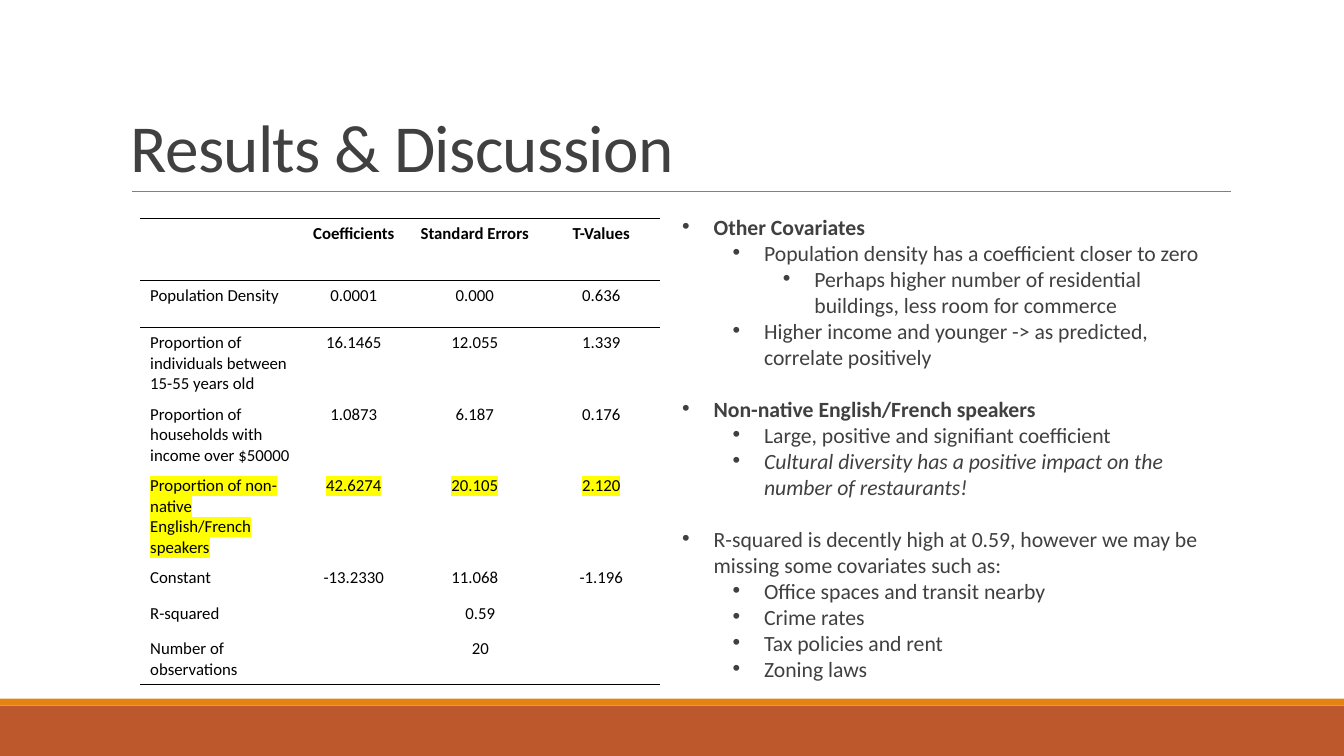
from dataclasses import dataclass
from typing import Any

from lxml.etree import SubElement
from pptx import Presentation
from pptx.dml.color import RGBColor
from pptx.enum.shapes import MSO_CONNECTOR as Connector, MSO_SHAPE as Shape
from pptx.enum.text import MSO_ANCHOR as Anchor, PP_ALIGN as Align
from pptx.oxml import parse_xml
from pptx.oxml.ns import nsdecls, qn
from pptx.util import Pt

FONT = "Calibri"
GREY, BLACK, YELLOW = "404040", "000000", "FFFF00"
NO_TABLE_STYLE = "{2D5ABB26-0587-4C30-8999-92F81FD0307C}"
LINE_PITCH = 18.57


@dataclass
class Band:
    top: float
    height: float
    color: str


@dataclass
class Result:
    height: float
    label: str
    values: tuple[str, ...]
    bold: bool = False
    highlight: str | None = None
    borders: tuple[str, ...] = ()


@dataclass
class Point:
    text: str
    level: int = 0
    bold: bool = False
    italic: bool = False
    gap: bool = False


BANDS = [Band(504, 36, "BD582C"), Band(499, 5, "E48312")]

COLUMNS = [114.5, 76.3, 96.5, 84.2]
RESULTS = [
    Result(43.9, "", ("Coefficients", "Standard Errors", "T-Values"),
           bold=True, borders=("lnT", "lnB")),
    Result(34, "Population Density", ("0.0001", "0.000", "0.636"), borders=("lnT",)),
    Result(51, "Proportion of individuals between 15-55 years old",
           ("16.1465", "12.055", "1.339")),
    Result(51, "Proportion of households with income over $50000",
           ("1.0873", "6.187", "0.176")),
    Result(65.8, "Proportion of non-native English/French speakers",
           ("42.6274", "20.105", "2.120"), highlight=YELLOW),
    Result(25.3, "Constant", ("-13.2330", "11.068", "-1.196")),
    Result(25.3, "R-squared", ("0.59",)),
    Result(36.5, "Number of observations", ("20",), borders=("lnB",)),
]

POINTS = [
    Point("Other Covariates", bold=True),
    Point("Population density has a coefficient closer to zero", 1),
    Point("Perhaps higher number of residential buildings, less room for commerce", 2),
    Point("Higher income and younger -> as predicted, correlate positively", 1),
    Point("Non-native English/French speakers", bold=True, gap=True),
    Point("Large, positive and signifiant coefficient", 1),
    Point("Cultural diversity has a positive impact on the number of restaurants!", 1,
          italic=True),
    Point("R-squared is decently high at 0.59, however we may be missing some "
          "covariates such as:", gap=True),
    Point("Office spaces and transit nearby", 1),
    Point("Crime rates", 1),
    Point("Tax policies and rent", 1),
    Point("Zoning laws", 1),
]


def rgb(color: str) -> RGBColor:
    return RGBColor.from_string(color)


def apply(target: Any, formats: dict[str, Any]) -> None:
    for name, value in formats.items():
        setattr(target, name, value)


def add_run(paragraph: Any, text: str, color: str, **formats: Any) -> Any:
    run = paragraph.add_run()
    run.text = text
    run.font.color.rgb = rgb(color)
    apply(run.font, {"name": FONT, **formats})
    return run


def add_band(slide: Any, band: Band) -> None:
    bar = slide.shapes.add_shape(Shape.RECTANGLE, 0, Pt(band.top), Pt(960), Pt(band.height))
    bar.shadow.inherit = False
    bar.fill.solid()
    bar.fill.fore_color.rgb = rgb(band.color)
    bar.line.fill.background()


def add_rule(slide: Any) -> None:
    rule = slide.shapes.add_connector(
        Connector.STRAIGHT, Pt(94.3), Pt(136.8), Pt(879), Pt(136.8))
    rule.line.color.rgb = rgb("808080")
    rule.line.width = Pt(0.5)
    SubElement(rule.line._get_or_add_ln().getparent(), qn("a:effectLst"))


def add_title(slide: Any, text: str) -> None:
    title = slide.shapes.add_textbox(Pt(86.4), Pt(22.3), Pt(792), Pt(114.5)).text_frame
    apply(title, {"word_wrap": True, "vertical_anchor": Anchor.BOTTOM})
    heading = title.paragraphs[0]
    heading.line_spacing = 0.85
    run = add_run(heading, text, GREY, size=Pt(48))
    run._r.get_or_add_rPr().set("spc", "-50")


def fill_cell(cell: Any, text: str, result: Result, align: Any) -> None:
    cell.fill.background()
    properties = cell._tc.get_or_add_tcPr()
    for position, side in enumerate(result.borders):
        properties.insert(position, parse_xml(
            f'<a:{side} {nsdecls("a")} w="12700"><a:solidFill>'
            f'<a:srgbClr val="{BLACK}"/></a:solidFill></a:{side}>'))
    if not text:
        return
    paragraph = cell.text_frame.paragraphs[0]
    paragraph.alignment = align
    run = add_run(paragraph, text, BLACK, size=Pt(12), bold=result.bold)
    if result.highlight:
        fill = run._r.get_or_add_rPr().find(qn("a:solidFill"))
        fill.addnext(parse_xml(
            f'<a:highlight {nsdecls("a")}><a:srgbClr val="{result.highlight}"/></a:highlight>'))


def add_results(slide: Any) -> None:
    table = slide.shapes.add_table(
        len(RESULTS), len(COLUMNS), Pt(100.1), Pt(156.3),
        Pt(sum(COLUMNS)), Pt(sum(result.height for result in RESULTS))).table
    apply(table, {"first_row": False, "horz_banding": False})
    table._tbl.tblPr.find(qn("a:tableStyleId")).text = NO_TABLE_STYLE
    for column, width in zip(table.columns, COLUMNS):
        column.width = Pt(width)
    for index, result in enumerate(RESULTS):
        table.rows[index].height = Pt(result.height)
        if len(result.values) == 1:
            table.cell(index, 1).merge(table.cell(index, len(COLUMNS) - 1))
        texts = (result.label, *result.values, "", "")
        for column in range(len(COLUMNS)):
            fill_cell(table.cell(index, column), texts[column], result,
                      Align.CENTER if column else Align.LEFT)


def add_discussion(slide: Any) -> None:
    discussion = slide.shapes.add_textbox(Pt(480.2), Pt(149), Pt(398.2), Pt(390)).text_frame
    discussion.word_wrap = True
    for index, point in enumerate(POINTS):
        paragraph = discussion.add_paragraph() if index else discussion.paragraphs[0]
        apply(paragraph, {"level": point.level, "line_spacing": Pt(LINE_PITCH),
                          "space_before": Pt(LINE_PITCH if point.gap else 0)})
        # Bullet and hanging indent
        properties = paragraph._p.get_or_add_pPr()
        properties.set("marL", str(Pt(22.5 + 36 * point.level)))
        properties.set("indent", str(Pt(-22.5)))
        SubElement(properties, qn("a:buFont")).set("typeface", "Arial")
        SubElement(properties, qn("a:buChar")).set("char", "•")
        add_run(paragraph, point.text, GREY, size=Pt(15.5),
                bold=point.bold, italic=point.italic)


def main() -> None:
    deck = Presentation()
    apply(deck, {"slide_width": Pt(960), "slide_height": Pt(540)})
    slide = deck.slides.add_slide(deck.slide_layouts[6])
    # Footer bands and title rule
    for band in BANDS:
        add_band(slide, band)
    add_rule(slide)
    # Content
    add_title(slide, "Results & Discussion")
    add_results(slide)
    add_discussion(slide)
    deck.save("out.pptx")


if __name__ == "__main__":
    main()
